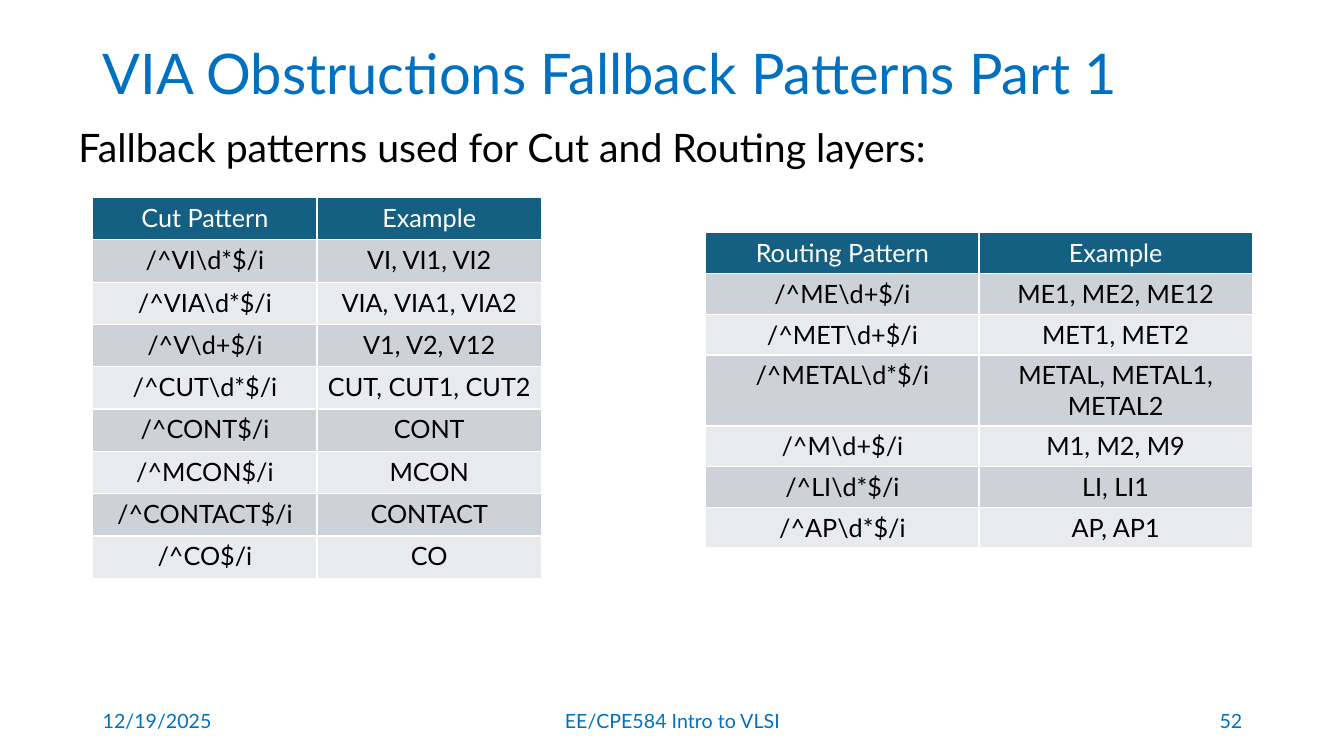
from lxml import etree
from pptx import Presentation
from pptx.dml.color import RGBColor
from pptx.enum.text import MSO_ANCHOR, PP_ALIGN
from pptx.oxml.ns import qn
from pptx.util import Inches, Pt

LEFT, CENTER, RIGHT = PP_ALIGN.LEFT, PP_ALIGN.CENTER, PP_ALIGN.RIGHT
TOP, MIDDLE = MSO_ANCHOR.TOP, MSO_ANCHOR.MIDDLE

FONT = "Lato"
BLUE = RGBColor(0x00, 0x70, 0xC0)
BLACK = RGBColor(0x00, 0x00, 0x00)
WHITE = RGBColor(0xFF, 0xFF, 0xFF)
HEADER = RGBColor(0x15, 0x60, 0x82)
BANDS = (RGBColor(0xCC, 0xD2, 0xD8), RGBColor(0xE8, 0xEA, 0xED))

# Content
TITLE = "VIA Obstructions Fallback Patterns Part 1"
INTRO = "Fallback patterns used for Cut and Routing layers:"
FOOTERS = [
    ("12/19/2025", 0.92, 3, LEFT),
    ("EE/CPE584 Intro to VLSI", 4.42, 4.5, CENTER),
    ("52", 9.42, 3, RIGHT),
]
CUT_ROWS = [
    ("Cut Pattern", "Example"),
    (r"/^VI\d*$/i", "VI, VI1, VI2"),
    (r"/^VIA\d*$/i", "VIA, VIA1, VIA2"),
    (r"/^V\d+$/i", "V1, V2, V12"),
    (r"/^CUT\d*$/i", "CUT, CUT1, CUT2"),
    ("/^CONT$/i", "CONT"),
    ("/^MCON$/i", "MCON"),
    ("/^CONTACT$/i", "CONTACT"),
    ("/^CO$/i", "CO"),
]
ROUTING_ROWS = [
    ("Routing Pattern", "Example"),
    (r"/^ME\d+$/i", "ME1, ME2, ME12"),
    (r"/^MET\d+$/i", "MET1, MET2"),
    (r"/^METAL\d*$/i", "METAL, METAL1, METAL2"),
    (r"/^M\d+$/i", "M1, M2, M9"),
    (r"/^LI\d*$/i", "LI, LI1"),
    (r"/^AP\d*$/i", "AP, AP1"),
]
# rows, left, top, width, height, extra height of two-line rows
TABLES = [
    (CUT_ROWS, 0.92, 1.96, 4.45, 3.78, {}),
    (ROUTING_ROWS, 7, 2.31, 5.42, 3.13, {3: 0.3}),
]


def write(tf, text, size=18, color=BLACK, align=LEFT, spacing=1.0):
    p = tf.paragraphs[0]
    p.alignment, p.line_spacing = align, spacing
    r = p.add_run()
    r.text = text
    r.font.name, r.font.size, r.font.bold = FONT, Pt(size), False
    r.font.color.rgb = color


def add_text(slide, text, left, top, width, height, anchor=MIDDLE, **fmt):
    sp = slide.shapes.add_textbox(*map(Inches, (left, top, width, height)))
    tf = sp.text_frame
    tf.word_wrap, tf.vertical_anchor = True, anchor
    write(tf, text, **fmt)


def add_borders(cell):
    tc_pr = cell._tc.get_or_add_tcPr()
    for side in ("lnL", "lnR", "lnT", "lnB"):
        ln = etree.SubElement(tc_pr, qn("a:" + side), w=str(Pt(1)))
        fill = etree.SubElement(ln, qn("a:solidFill"))
        etree.SubElement(fill, qn("a:srgbClr"), val=str(WHITE))


def add_pattern_table(slide, rows, left, top, width, height, extra):
    box = map(Inches, (left, top, width, height))
    table = slide.shapes.add_table(len(rows), len(rows[0]), *box).table
    row_height = (height - sum(extra.values())) / len(rows)
    for i, row in enumerate(rows):
        table.rows[i].height = Inches(row_height + extra.get(i, 0))
        for j, text in enumerate(row):
            cell = table.cell(i, j)
            add_borders(cell)
            cell.fill.solid()
            cell.fill.fore_color.rgb = BANDS[(i - 1) % 2] if i else HEADER
            write(cell.text_frame, text, align=CENTER,
                  color=BLACK if i else WHITE)


def main():
    prs = Presentation()
    prs.slide_width, prs.slide_height = Inches(13.33), Inches(7.5)
    slide = prs.slides.add_slide(prs.slide_layouts[6])

    # Heading and introduction
    add_text(slide, INTRO, 0.68, 1.23, 12.28, 5.05, anchor=TOP, size=28,
             spacing=0.9)
    add_text(slide, TITLE, 0.92, 0.03, 11.5, 1.45, size=40, color=BLUE,
             spacing=0.9)

    # Footer
    for text, left, width, align in FOOTERS:
        add_text(slide, text, left, 6.95, width, 0.4, size=14, color=BLUE,
                 align=align)

    # Pattern tables
    for table in TABLES:
        add_pattern_table(slide, *table)

    prs.save("out.pptx")


if __name__ == "__main__":
    main()
